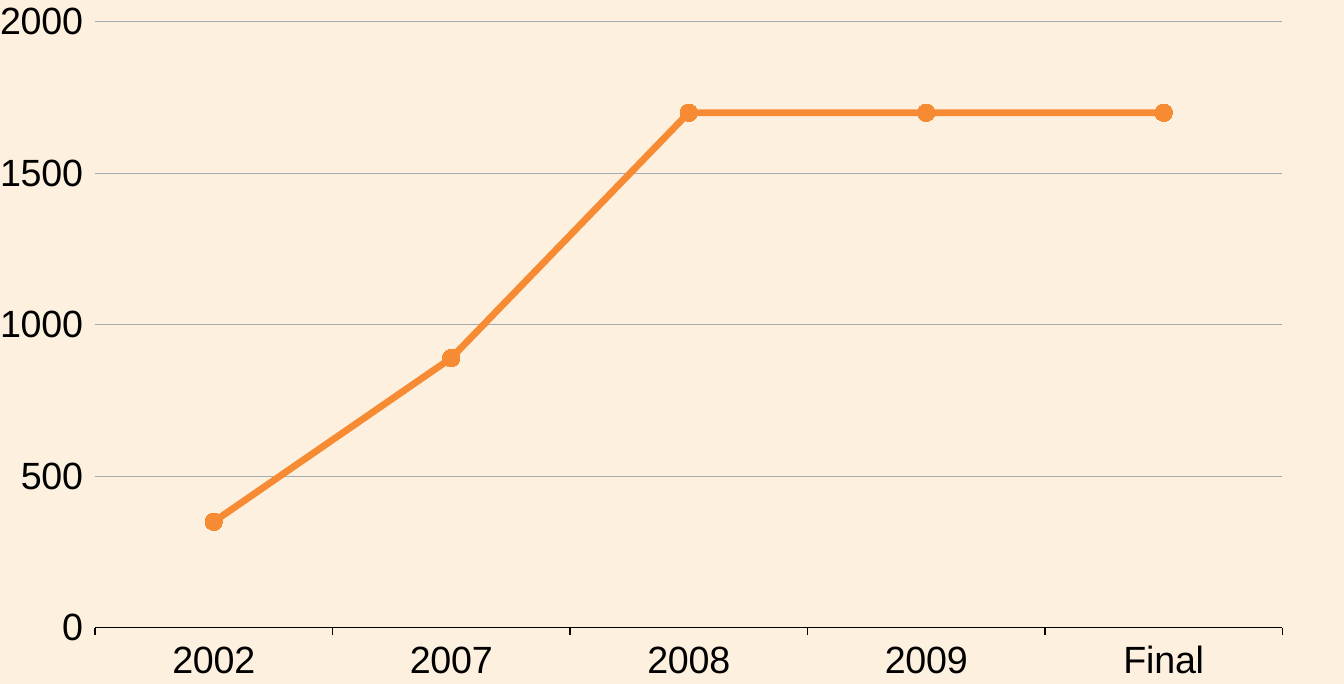
from pptx import Presentation
from pptx.chart.data import CategoryChartData
from pptx.dml.color import RGBColor
from pptx.enum import chart as ec
from pptx.oxml import parse_xml
from pptx.oxml.ns import nsdecls
from pptx.util import Inches, Pt

YEARS = ["2002", "2007", "2008", "2009", "Final"]
VALUES = [350, 890, 1700, 1700, 1700]
TOP, STEP = 2000, 500
PLOT = {"x": 0.064, "y": 0.032, "w": 0.89, "h": 0.886}
WIDTH, HEIGHT = Inches(10.83), Inches(5.51)
FONT = "Arial"
CREAM = RGBColor(0xFE, 0xF0, 0xDE)
ORANGE = RGBColor(0xF6, 0x8B, 0x33)
GRAY = RGBColor(0xA4, 0xAB, 0xB1)
BLACK = RGBColor(0, 0, 0)


def set_font(font, size):
    font.name = FONT
    font.size = Pt(size)
    font.bold = False
    font.color.rgb = BLACK


def set_line(line, color, width):
    line.color.rgb = color
    line.width = Pt(width)


def set_plot(chart):
    sides = "".join(f'<c:{k} val="{v}"/>' for k, v in PLOT.items())
    layout = parse_xml(
        f'<c:layout {nsdecls("c")}><c:manualLayout>'
        '<c:layoutTarget val="inner"/><c:xMode val="edge"/><c:yMode val="edge"/>'
        f"{sides}</c:manualLayout></c:layout>"
    )
    area = chart._chartSpace.chart.plotArea
    for old in area.findall(layout.tag):
        area.remove(old)
    area.insert(0, layout)


def style_axes(chart):
    years, amounts = chart.category_axis, chart.value_axis
    for axis in (years, amounts):
        set_font(axis.tick_labels.font, 22)
        axis.major_tick_mark = ec.XL_TICK_MARK.OUTSIDE
        axis.minor_tick_mark = ec.XL_TICK_MARK.NONE
    years.has_major_gridlines = False
    set_line(years.format.line, BLACK, 0.75)
    amounts.minimum_scale, amounts.maximum_scale = 0, TOP
    amounts.major_unit = STEP
    amounts.tick_labels.number_format = "General"
    amounts.tick_labels.number_format_is_linked = False
    amounts.format.line.fill.background()
    amounts.has_major_gridlines = True
    set_line(amounts.major_gridlines.format.line, GRAY, 0.75)


def style_series(chart):
    chart.plots[0].vary_by_categories = False
    series = chart.plots[0].series[0]
    series.smooth = False
    set_line(series.format.line, ORANGE, 4)
    marker = series.marker
    marker.style = ec.XL_MARKER_STYLE.CIRCLE
    marker.size = 10
    marker.format.fill.solid()
    marker.format.fill.fore_color.rgb = ORANGE
    marker.format.line.color.rgb = ORANGE


def main():
    deck = Presentation()
    deck.slide_width, deck.slide_height = WIDTH, HEIGHT
    slide = deck.slides.add_slide(deck.slide_layouts[6])
    slide.background.fill.solid()
    slide.background.fill.fore_color.rgb = CREAM

    data = CategoryChartData()
    data.categories = YEARS
    data.add_series("Series 1", VALUES)
    chart = slide.shapes.add_chart(
        ec.XL_CHART_TYPE.LINE_MARKERS, 0, 0, WIDTH, HEIGHT, data
    ).chart
    chart.has_legend = False
    chart.has_title = False
    set_font(chart.font, 18)
    set_plot(chart)
    style_axes(chart)
    style_series(chart)
    deck.save("out.pptx")


if __name__ == "__main__":
    main()
